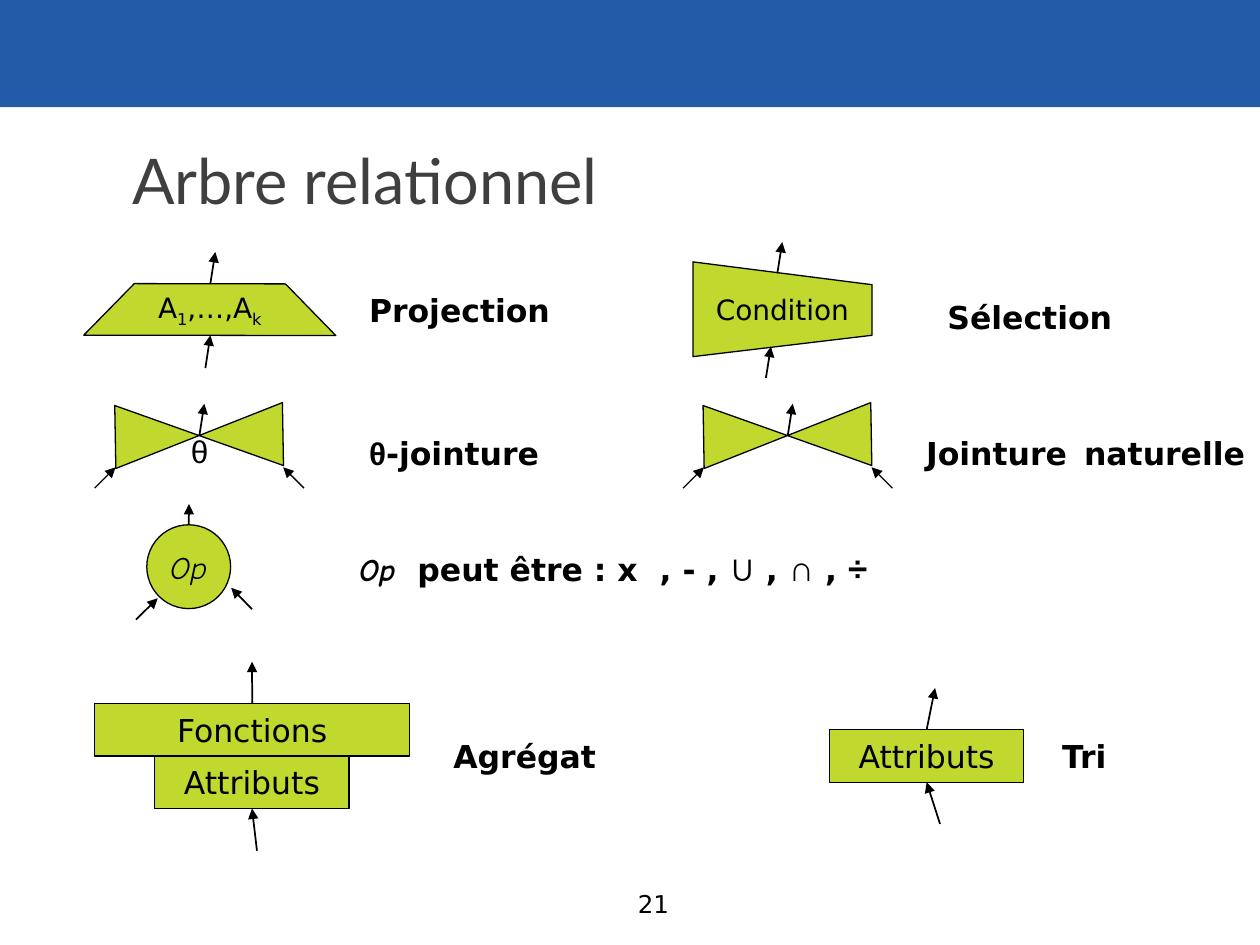
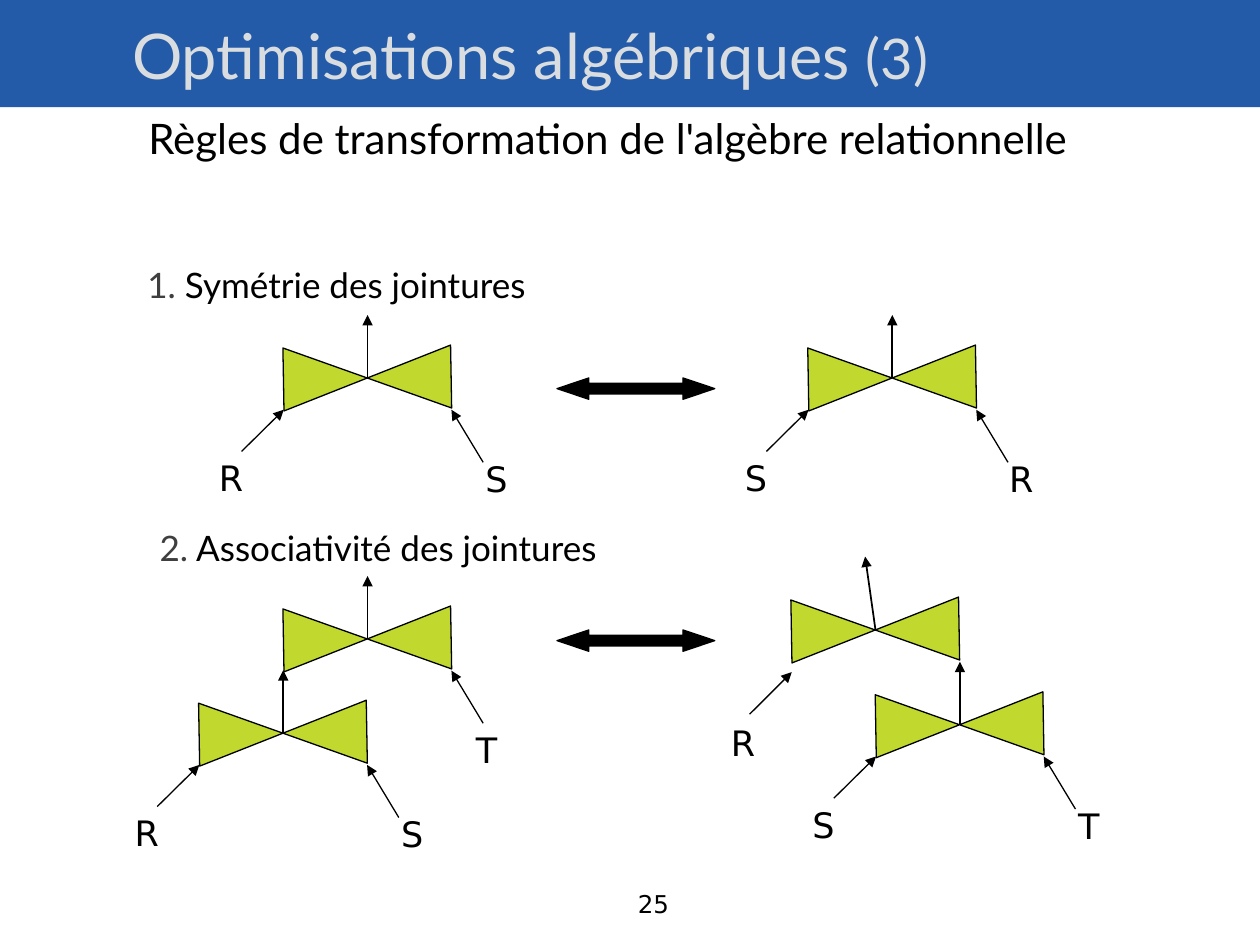
import math
import pptx
import pptx.util
import pptx.dml.color
import pptx.enum.shapes
import pptx.enum.text
import pptx.oxml.ns
import lxml.etree

Cm, Pt = pptx.util.Cm, pptx.util.Pt
Kind = pptx.enum.shapes.MSO_SHAPE
Align = pptx.enum.text.PP_ALIGN
Anchor = pptx.enum.text.MSO_ANCHOR
rgb = pptx.dml.color.RGBColor.from_string
qn = pptx.oxml.ns.qn

BLUE, GREEN, BLACK, WHITE = "235BA8", "C1D82F", "000000", "FFFFFF"
GREY, PALE = "3F3F3F", "DADDE0"
SANS, LATO, ARIAL, COMIC = "DejaVu Sans", "Lato", "Arial", "Comic Neue"


def draw(page, kind, box, runs=(), fill=None, edge=BLACK,
         align=Align.CENTER, anchor=Anchor.MIDDLE, wrap=False, **look):
    """Add a shape, or place the title, and fill it with styled runs.

    kind is a preset, "text", "title" or "free" (box then lists the corners).
    A run is a text or (text, changes to look); "\\n" starts a paragraph.
    """
    if kind == "free":
        dots = [(Cm(x), Cm(y)) for x, y in box]
        pen = page.shapes.build_freeform(*dots[0])
        pen.add_line_segments(dots[1:], close=True)
        shape = pen.convert_to_shape()
    elif kind == "title":
        shape = page.shapes.title
        shape.left, shape.top, shape.width, shape.height = map(Cm, box)
    elif kind == "text":
        shape = page.shapes.add_textbox(*map(Cm, box))
    else:
        shape = page.shapes.add_shape(kind, *map(Cm, box))
    if kind not in ("title", "text"):
        shape.shadow.inherit = False
        if fill:
            shape.fill.solid()
            shape.fill.fore_color.rgb = rgb(fill)
        else:
            shape.fill.background()
        if fill and edge:
            shape.line.color.rgb = rgb(edge)
            shape.line.width = Pt(0.75)
        else:
            shape.line.fill.background()

    frame = shape.text_frame
    frame.word_wrap = wrap
    frame.auto_size = pptx.enum.text.MSO_AUTO_SIZE.NONE
    frame.vertical_anchor = anchor
    para = frame.paragraphs[0]
    para.alignment = align
    for item in runs:
        if item == "\n":
            para = frame.add_paragraph()
            para.alignment = align
            continue
        text, change = (item, {}) if isinstance(item, str) else item
        style = {"size": 18, "face": SANS, "color": BLACK, **look, **change}
        run = para.add_run()
        run.text = text
        run.font.size = Pt(style["size"])
        run.font.name = style["face"]
        run.font.color.rgb = rgb(style["color"])
        run.font.bold = style.get("bold", False)
        run.font.italic = style.get("italic", False)
        if "base" in style:
            run.font._element.set("baseline", style["base"])
    return shape


def arrow(page, start, tip, width=1):
    line = page.shapes.add_connector(
        pptx.enum.shapes.MSO_CONNECTOR.STRAIGHT, *map(Cm, start + tip))
    line.line.color.rgb = rgb(BLACK)
    line.line.width = Pt(width)
    lxml.etree.SubElement(line.line._get_or_add_ln(), qn("a:tailEnd"), type="triangle")
    lxml.etree.SubElement(line.element.spPr, qn("a:effectLst"))
    return line


deck = pptx.Presentation()
deck.slide_width, deck.slide_height = Cm(25.4), Cm(19.05)
plain = deck.slide_layouts[5]
tree, rules = [deck.slides.add_slide(plain) for _ in range(2)]

# Bands live in the layout, behind everything
for top, high, tint in [(0, 2.16, BLUE), (17.91, 1.14, WHITE)]:
    band = draw(tree, Kind.RECTANGLE, (0, top, 25.4, high), fill=tint, edge=None)
    plain.shapes.element.insert(2, band.element)

# Titles and page numbers
heads = [
    (tree, "21", (2.41, 2.72, 22.68, 1.78), GREY, ["Arbre relationnel"]),
    (rules, "25", (2.41, 0.2, 22.68, 3.3), PALE,
     ["Optimisations algébriques ", ("(3)", {"size": 32}), "\n", " ",
      ("Règles de transformation de l'algèbre relationnelle",
       {"size": 24, "color": BLACK})]),
]
for page, number, box, tint, runs in heads:
    draw(page, "title", box, runs, align=Align.LEFT, wrap=True,
         size=36, face=LATO, color=tint)
    draw(page, "text", (11.63, 17.98, 2.11, 0.46), [number],
         align=Align.RIGHT, wrap=True, size=14)

# Joins: page, centre, offset of the top arrow's tip, legs
# A leg: start x and y, tip y, label, label x and y, all from the centre
stubs = [(side * 2.11, 1.06, 0.64, "", 0, 0) for side in (-1, 1)]
left = {name: (-2.54, 1.48, 0.64, name, -2.75, 2.01) for name in "RS"}
right = {name: (2.33, 1.7, 0.64, name, 2.6, 2.03) for name in "RST"}
low_r = (-2.54, 1.7, 0.85, "R", -2.67, 2.26)
low_t = (2.33, 1.7, 0.64, "T", 2.4, 2.23)
lean, up = (0.1, -0.64), (0, -1.27)
joins = [
    (tree, 4.02, 8.78, lean, stubs),
    (tree, 15.88, 8.78, lean, stubs),
    (rules, 7.41, 7.62, up, [left["R"], right["S"]]),
    (rules, 17.99, 7.62, up, [left["S"], right["R"]]),
    (rules, 5.71, 14.78, up, [left["R"], right["S"]]),
    (rules, 7.41, 12.88, up, [low_t]),
    (rules, 19.35, 14.61, up, [left["S"], right["T"]]),
    (rules, 17.65, 12.7, (-0.21, -1.48), [low_r]),
]
for page, x, y, (dx, dy), legs in joins:
    bow = draw(page, Kind.FLOWCHART_COLLATE, (x - 0.64, y - 1.69, 1.27, 3.38), fill=GREEN)
    bow.rotation = 269
    arrow(page, (x, y), (x + dx, y + dy))
    for sx, sy, ty, name, lx, ly in legs:
        arrow(page, (x + sx, y + sy), (x + math.copysign(1.69, sx), y + ty), 0.75)
        if name:
            draw(page, "text", (x + lx - 0.43, y + ly - 0.53, 0.86, 1.06), [name], size=20)

# Slide 1: names of the operators
wide = (" ", {"size": 28})
sign = {"face": ARIAL, "size": 20}
names = [
    (7.19, 5.61, 4.24, ["Projection"]),
    (18.85, 5.61, 4.01, ["Sélection", wide]),
    (7.19, 8.36, 4.01, [("θ", {"face": ARIAL}), "-jointure", wide]),
    (18.42, 8.36, 6.78, ["Jointure", wide, "naturelle"]),
    (6.99, 10.8, 17.35, [("Op", {"face": COMIC, "italic": True}),
                         "  peut être : x  , - , ", ("∪", sign), " , ",
                         ("∩", sign), " , ", ("÷", sign)]),
    (8.89, 14.61, 3.61, ["Agrégat"]),
    (21.16, 14.61, 3.61, ["Tri"]),
]
for x, y, wide_cm, runs in names:
    draw(tree, Kind.FLOWCHART_PROCESS, (x, y, wide_cm, 1.27), runs,
         align=Align.LEFT, bold=True)

# Slide 1: symbols
sub = {"base": "-25000"}
proj = draw(tree, Kind.FLOWCHART_MANUAL_OPERATION, (1.69, 5.72, 5.08, 1.04),
            ["A", ("1", sub), ",…,A", ("k", sub)], GREEN, size=16)
proj.rotation = 180.1
proj.element.txBody.bodyPr.set("rot", "10800000")
draw(tree, "free", [(13.97, 5.28), (17.58, 5.74), (17.58, 6.76), (13.97, 7.19)],
     ["Condition"], GREEN, size=16)
draw(tree, "text", (3.6, 8.78, 0.85, 0.64), ["θ"], face=ARIAL)
disc = draw(tree, Kind.OVAL, (2.96, 10.58, 1.69, 1.69), ["Op"], GREEN,
            face=COMIC, italic=True)
funcs = draw(tree, Kind.RECTANGLE, (1.91, 14.18, 6.35, 1.06), ["Fonctions"], GREEN)
group, sort = [draw(tree, Kind.RECTANGLE, (x, y, 3.92, 1.06), ["Attributs"], GREEN)
               for x, y in [(3.12, 15.24), (16.72, 14.71)]]

for start, tip in [
    ((4.14, 7.42), (4.24, 6.76)),
    ((4.24, 5.72), (4.34, 5.08)),
    ((15.44, 7.62), (15.54, 6.99)),
    ((15.67, 5.51), (15.77, 4.88)),
    ((2.74, 12.49), (3.18, 12.06)),
    ((5.08, 12.28), (4.66, 11.85)),
]:
    arrow(tree, start, tip)
for shape, start, tip in [
    (disc, (3.81, 10.58), (3.81, 10.16)),
    (funcs, (5.08, 14.18), (5.08, 13.34)),
    (sort, (18.67, 14.71), (18.85, 13.87)),
]:
    arrow(tree, start, tip).begin_connect(shape, 0)
for shape, start, tip in [
    (group, (5.18, 17.15), (5.08, 16.3)),
    (sort, (18.95, 16.61), (18.67, 15.77)),
]:
    arrow(tree, start, tip).end_connect(shape, 2)

# Slide 2: rules and equivalence arrows
for box, number, rule in [
    ((2.54, 5.28, 11.05, 1.06), " 1.", " Symétrie des jointures"),
    ((2.97, 10.59, 20.75, 1.06), "2.", " Associativité des jointures"),
]:
    head = draw(rules, "text", box, [(number, {"color": GREY}), rule],
                align=Align.LEFT, anchor=Anchor.TOP, wrap=True, size=20, face=LATO)
    para = head.text_frame.paragraphs[0]
    para.line_spacing = 0.9
    para.space_before = Pt(6)
for y in (7.62, 12.7):
    both = draw(rules, Kind.LEFT_RIGHT_ARROW, (11.23, y, 3.18, 0.43), fill=BLACK)
    both.adjustments[0], both.adjustments[1] = 0.5, 1.49

deck.save("out.pptx")
